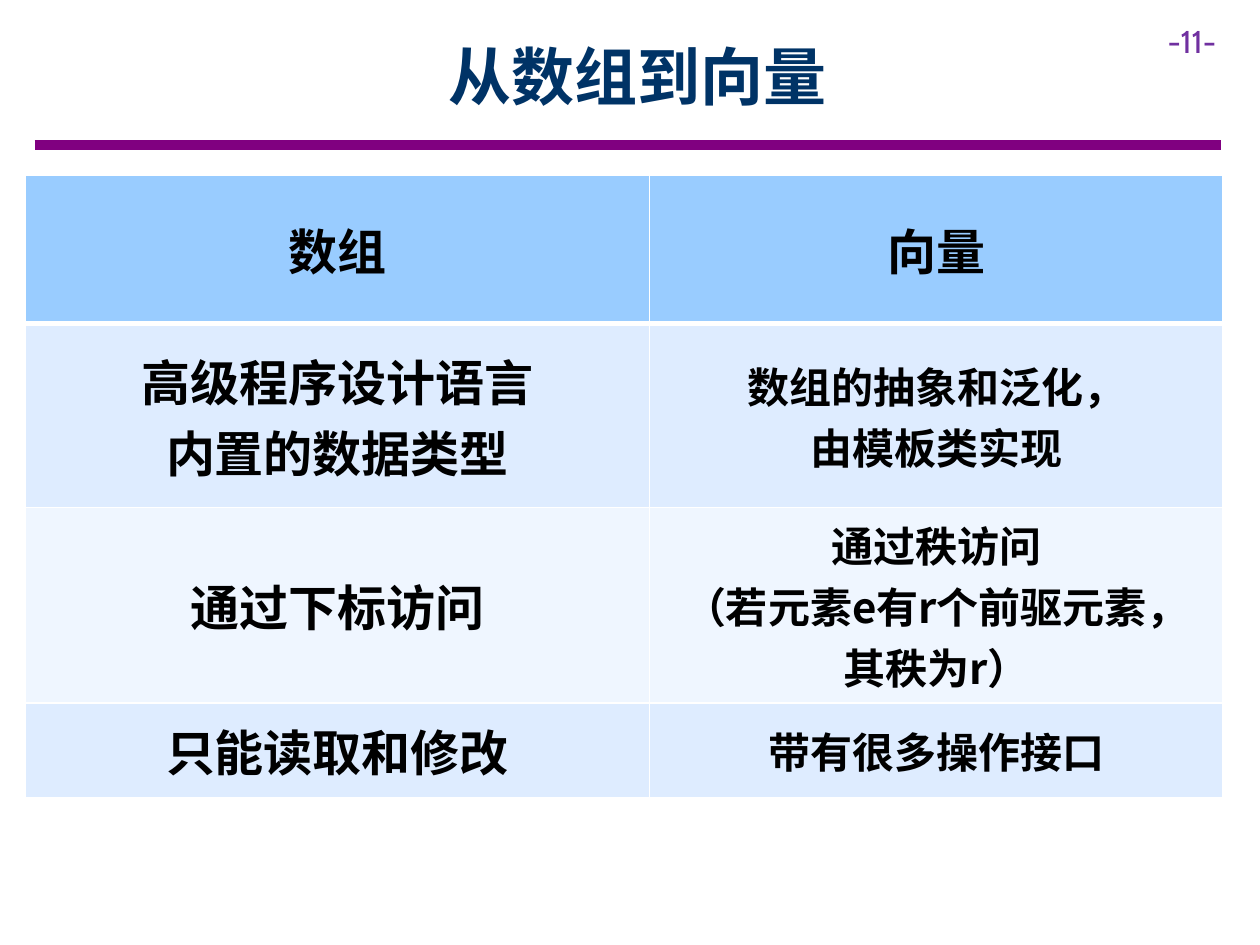
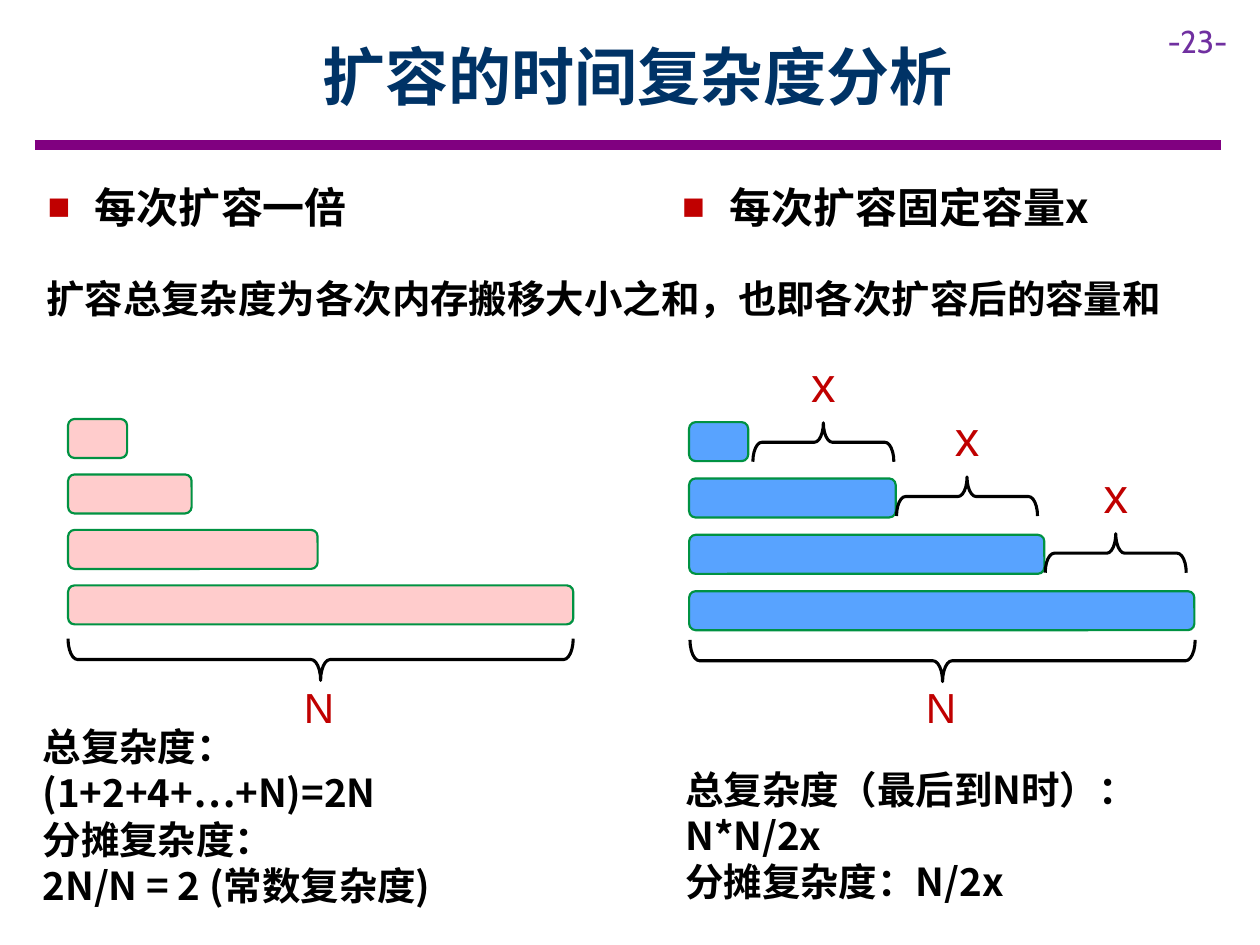
from lxml import etree
from pptx import Presentation
from pptx import util as u
from pptx.dml.color import RGBColor
from pptx.enum import shapes, text
from pptx.oxml import ns, parse_xml

Pt = u.Pt
NAVY = RGBColor(0x00, 0x33, 0x66)
PURPLE = RGBColor(0x80, 0x00, 0x80)
VIOLET = RGBColor(0x70, 0x30, 0xA0)
RED = RGBColor(0xC0, 0x00, 0x00)
BLACK = RGBColor(0x00, 0x00, 0x00)
GREEN = RGBColor(0x00, 0x92, 0x42)
PINK = RGBColor(0xFF, 0xCC, 0xCC)
BLUE = RGBColor(0x58, 0xA3, 0xFF)
HEADER_BLUE = RGBColor(0x99, 0xCC, 0xFF)
BAND_DARK = RGBColor(0xDE, 0xEC, 0xFF)
BAND_LIGHT = RGBColor(0xEF, 0xF6, 0xFF)
CJK_FONT = "Noto Sans CJK SC"
CENTER = text.PP_ALIGN.CENTER
MIDDLE = text.MSO_ANCHOR.MIDDLE


def write_lines(frame, lines, size, color=BLACK, font=CJK_FONT, align=None):
    """Fill a text frame with one paragraph per line, all in one style."""
    frame.text = "\n".join(lines)
    for paragraph in frame.paragraphs:
        paragraph.alignment = align
        paragraph.font.size = Pt(size)
        paragraph.font.name = font
        paragraph.font.bold = font == CJK_FONT
        paragraph.font.color.rgb = color
        default_style = paragraph._p.pPr.find(ns.qn("a:defRPr"))
        etree.SubElement(default_style, ns.qn("a:ea"), typeface=font)


def add_text(slide, box, lines, size, **style):
    """Add a wrapping text box."""
    frame = slide.shapes.add_textbox(*map(Pt, box)).text_frame
    frame.word_wrap = True
    write_lines(frame, lines, size, **style)
    return frame


presentation = Presentation()
presentation.slide_width, presentation.slide_height = Pt(720), Pt(540)

# Shared frame: rule, page number, title
slides = []
for number, title in [(11, "从数组到向量"), (23, "扩容的时间复杂度分析")]:
    slide = presentation.slides.add_slide(presentation.slide_layouts[6])
    rule = slide.shapes.add_connector(
        shapes.MSO_CONNECTOR.STRAIGHT, Pt(19.8), Pt(82.8), Pt(697.7), Pt(82.8))
    rule.line.color.rgb = PURPLE
    rule.line.width = Pt(6)
    etree.SubElement(rule._element.spPr, ns.qn("a:effectLst"))
    add_text(slide, (660.2, 9, 59.8, 28.8), [f"-{number}-"], 18, color=VIOLET, font="Cabin")
    title_frame = add_text(slide, (65, 7, 598.3, 72), [title], 36, color=NAVY, align=CENTER)
    title_frame.vertical_anchor = MIDDLE
    slides.append(slide)
comparison_slide, growth_slide = slides

# Comparison table
COMPARISON = [
    (["数组"], ["向量"]),
    (["高级程序设计语言", "内置的数据类型"], ["数组的抽象和泛化，", "由模板类实现"]),
    (["通过下标访问"], ["通过秩访问", "（若元素e有r个前驱元素，", "其秩为r）"]),
    (["只能读取和修改"], ["带有很多操作接口"]),
]
ROW_FILLS = [HEADER_BLUE, BAND_DARK, BAND_LIGHT, BAND_DARK]
ROW_HEIGHTS = [84.6, 105.4, 111.6, 54]
COLUMN_WIDTHS = [357.1, 327.6]
table = comparison_slide.shapes.add_table(
    4, 2, Pt(14.2), Pt(100.1), Pt(sum(COLUMN_WIDTHS)), Pt(sum(ROW_HEIGHTS))).table
table.first_row = table.horz_banding = False
for column, width in zip(table.columns, COLUMN_WIDTHS):
    column.width = Pt(width)
for row_index, height in enumerate(ROW_HEIGHTS):
    table.rows[row_index].height = Pt(height)
    for column_index, lines in enumerate(COMPARISON[row_index]):
        cell = table.cell(row_index, column_index)
        cell.fill.solid()
        cell.fill.fore_color.rgb = ROW_FILLS[row_index]
        cell.vertical_anchor = MIDDLE
        size = 24 if row_index and column_index else 28
        write_lines(cell.text_frame, lines, size, align=CENTER)
        if row_index == 0:
            cell._tc.get_or_add_tcPr().insert(0, parse_xml(
                f'<a:lnB {ns.nsdecls("a")} w="38100"><a:solidFill>'
                '<a:srgbClr val="FFFFFF"/></a:solidFill></a:lnB>'))

# Growth strategies: bulleted headings
for left, width, heading in [(20.2, 221, "每次扩容一倍"), (382.7, 260.6, "每次扩容固定容量x")]:
    frame = add_text(growth_slide, (left, 100.1, width, 31.7), [heading], 24)
    properties = frame.paragraphs[0]._p.pPr
    properties.set("marL", str(Pt(27)))
    properties.set("indent", str(-Pt(27)))
    bullet = parse_xml(
        f'<a:pPr {ns.nsdecls("a")}><a:buClr><a:srgbClr val="{RED}"/></a:buClr>'
        '<a:buSzPct val="90000"/><a:buFont typeface="Arial"/><a:buChar char="■"/></a:pPr>')
    for part in list(bullet):
        properties.find(ns.qn("a:defRPr")).addprevious(part)

# Capacity bars, one row per expansion
for left, top, step, color, widths in [
    (38.9, 239.4, 31.7, PINK, (33.8, 70.6, 142.6, 288.7)),
    (393.8, 241.2, 32.2, BLUE, (33.8, 118.1, 203, 288.7)),
]:
    for index, width in enumerate(widths):
        bar = growth_slide.shapes.add_shape(
            shapes.MSO_SHAPE.ROUNDED_RECTANGLE,
            Pt(left), Pt(top + index * step), Pt(width), Pt(22.3))
        bar.shadow.inherit = False
        bar.fill.solid()
        bar.fill.fore_color.rgb = color
        bar.line.color.rgb = GREEN
        bar.line.width = Pt(1.25)

# Braces: turned up for each increment x, down for the total N
for center_x, center_y, letter in [
    (183.2, 376.9, "N"), (538.6, 377.6, "N"),
    (470.5, 252.7, "x"), (552.6, 283.7, "x"), (637.6, 316.1, "x"),
]:
    if letter == "N":
        depth, span, rotation, size = 23.8, 288.7, 90, 24
        label_box = (center_x - 16.6, 385.9, 33.8, 36)
    else:
        depth, span, rotation, size = 22.3, 80.6, 270, 28
        label_box = (center_x - 14, center_y - 54.2, 33.8, 41)
    brace = growth_slide.shapes.add_shape(
        shapes.MSO_SHAPE.RIGHT_BRACE,
        Pt(center_x - depth / 2), Pt(center_y - span / 2), Pt(depth), Pt(span))
    brace.rotation = rotation
    brace.adjustments[0] = 0.23
    brace.shadow.inherit = False
    brace.fill.background()
    brace.line.color.rgb = BLACK
    brace.line.width = Pt(1.75)
    add_text(growth_slide, label_box, [letter], size, color=RED, font="Arial")

# Explanation and complexity results
for box, lines in [
    ((19.4, 153.4, 653, 33.8), ["扩容总复杂度为各次内存搬移大小之和，也即各次扩容后的容量和"]),
    ((17.3, 409.7, 306, 113.8),
     ["总复杂度：", "(1+2+4+…+N)=2N", "分摊复杂度：", "2N/N = 2 (常数复杂度)"]),
    ((384.5, 434.2, 310.3, 87.1), ["总复杂度（最后到N时）：N*N/2x", "分摊复杂度：N/2x"]),
]:
    add_text(growth_slide, box, lines, 22)

presentation.save("out.pptx")
